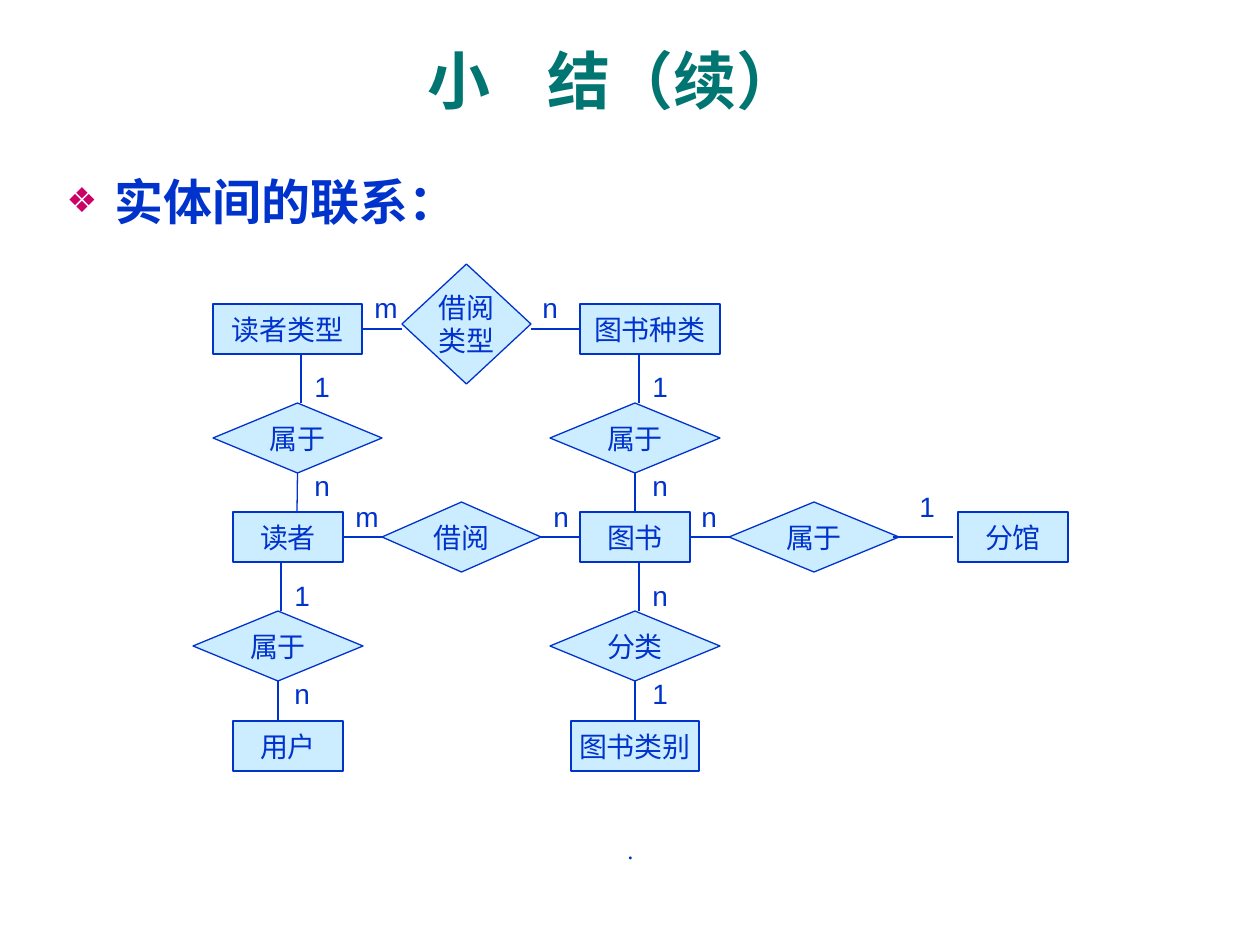
from lxml import etree
from pptx import Presentation, util as u
from pptx.dml.color import RGBColor
from pptx.enum import shapes, text
from pptx.oxml.ns import qn

PX = 914400 / 126
COLORS = {"title": "007572", "text": "0033CC", "fill": "CCECFF", "bullet": "CC0066"}
TOP, LEFT, BOTTOM, RIGHT = range(4)

ENTITIES = {
    "读者类型": (20, 40, 149, 50),
    "图书种类": (387, 40, 140, 50),
    "读者": (40, 248, 110, 50),
    "图书": (387, 248, 110, 50),
    "分馆": (765, 248, 110, 50),
    "用户": (40, 457, 110, 50),
    "图书类别": (378, 457, 128, 50),
}
RELATIONS = {
    "借阅类型": ("借阅\v类型", (209, 0, 129, 120)),
    "读者属于": ("属于", (20, 139, 169, 70)),
    "图书属于": ("属于", (357, 139, 170, 70)),
    "借阅": ("借阅", (189, 238, 159, 70)),
    "分馆属于": ("属于", (536, 238, 170, 70)),
    "用户属于": ("属于", (0, 347, 170, 70)),
    "分类": ("分类", (357, 347, 170, 70)),
}
LINKS = [
    ((209, 65), ("读者类型", RIGHT)),
    ((338, 65), ("图书种类", LEFT)),
    ((108, 90), (108, 139)),
    (("读者属于", BOTTOM), (104, 248)),
    ((446, 90), (446, 139)),
    (("图书属于", BOTTOM), ("图书", TOP)),
    (("借阅", LEFT), ("读者", RIGHT)),
    (("借阅", RIGHT), ("图书", LEFT)),
    (("图书", RIGHT), ("分馆属于", LEFT)),
    ((700, 273), (760, 273)),
    ((88, 298), (88, 347)),
    (("用户属于", BOTTOM), (85, 457)),
    ((446, 298), (446, 347)),
    (("分类", BOTTOM), ("图书类别", TOP)),
]
CARDINALITIES = [
    ("m", 169, 20), ("n", 337, 20),
    ("1", 109, 99), ("n", 109, 198),
    ("1", 447, 99), ("n", 447, 198),
    ("m", 150, 229), ("n", 348, 229),
    ("n", 496, 229), ("1", 714, 219),
    ("1", 89, 308), ("n", 89, 406),
    ("n", 447, 308), ("1", 447, 406),
]


def px(*values):
    return [u.Emu(round(v * PX)) for v in values]


def rgb(name):
    return RGBColor.from_string(COLORS[name])


def apply(target, values):
    for name, value in values.items():
        setattr(target, name, value)


def write(sp, content, size, color="text", font="Arial", bold=False, para=None, frame=None):
    tf = sp.text_frame
    apply(tf, {"word_wrap": True, "auto_size": text.MSO_AUTO_SIZE.NONE, **(frame or {})})
    tf.text = content
    p = tf.paragraphs[0]
    apply(p, para or {})
    for r in p.runs:
        apply(r.font, {"size": u.Pt(size), "name": font, "bold": bold})
        r.font.color.rgb = rgb(color)
    return p


def place(sp, box):
    apply(sp, dict(zip(("left", "top", "width", "height"), px(*box))))


def add_title(s, box):
    sp = s.shapes.title
    place(sp, box)
    write(sp, "小    结（续）", 36, "title", bold=True,
          para={"alignment": text.PP_ALIGN.CENTER},
          frame={"vertical_anchor": text.MSO_ANCHOR.MIDDLE})


def add_body(s, box):
    sp = s.placeholders[1]
    place(sp, box)
    p = write(sp, "实体间的联系：", 28, bold=True, para={"space_before": u.Pt(7)})
    pPr = p._p.get_or_add_pPr()
    indent = px(48)[0]
    pPr.set("marL", str(indent))
    pPr.set("indent", str(-indent))
    color = etree.SubElement(pPr, qn("a:buClr"))
    etree.SubElement(color, qn("a:srgbClr"), val=COLORS["bullet"])
    etree.SubElement(pPr, qn("a:buSzPct"), val="70000")
    etree.SubElement(pPr, qn("a:buChar"), char="❖")


def add_node(s, kind, content, box, inset):
    sp = s.shapes.add_shape(kind, *px(*box))
    sp.shadow.inherit = False
    sp.fill.solid()
    sp.fill.fore_color.rgb = rgb("fill")
    sp.line.color.rgb = rgb("text")
    sp.line.width = u.Pt(0.75)
    frame = {"word_wrap": False, "vertical_anchor": text.MSO_ANCHOR.MIDDLE}
    if not inset:
        frame.update(dict.fromkeys(("margin_left", "margin_top", "margin_right", "margin_bottom"), 0))
    write(sp, content, 16, para={"alignment": text.PP_ALIGN.CENTER}, frame=frame)
    return sp


def add_link(s, x, y, nodes, begin, end):
    def point(target):
        return (0, 0) if target[0] in nodes else px(x + target[0], y + target[1])

    cxn = s.shapes.add_connector(shapes.MSO_CONNECTOR.STRAIGHT, *point(begin), *point(end))
    for target, join in ((begin, cxn.begin_connect), (end, cxn.end_connect)):
        if target[0] in nodes:
            join(nodes[target[0]], target[1])
    cxn.line.color.rgb = rgb("text")
    cxn.line.width = u.Pt(0.75)
    etree.SubElement(cxn._element.spPr, qn("a:effectLst"))


def add_diagram(s, box):
    x, y = box[:2]
    nodes = {}
    for name, (dx, dy, w, h) in ENTITIES.items():
        nodes[name] = add_node(s, shapes.MSO_SHAPE.RECTANGLE, name, (x + dx, y + dy, w, h), True)
    for name, (content, (dx, dy, w, h)) in RELATIONS.items():
        nodes[name] = add_node(s, shapes.MSO_SHAPE.FLOWCHART_DECISION, content,
                               (x + dx, y + dy, w, h), False)
    for begin, end in LINKS:
        add_link(s, x, y, nodes, begin, end)
    for content, dx, dy in CARDINALITIES:
        sp = s.shapes.add_textbox(*px(x + dx, y + dy, 39, 46))
        write(sp, content, 16, para={"space_before": u.Pt(10)},
              frame={"auto_size": text.MSO_AUTO_SIZE.SHAPE_TO_FIT_TEXT})


def add_footer(s, box):
    sp = s.shapes.add_textbox(*px(*box))
    write(sp, ".", 14, font="Times New Roman", para={"alignment": text.PP_ALIGN.CENTER})


def main():
    prs = Presentation()
    prs.slide_width, prs.slide_height = px(1260, 945)
    s = prs.slides.add_slide(prs.slide_layouts[1])
    add_title(s, (25, 0, 1177, 158))
    add_body(s, (54, 165, 1121, 74))
    add_diagram(s, (193, 264, 875, 507))
    add_footer(s, (431, 829, 399, 66))
    prs.save("out.pptx")


if __name__ == "__main__":
    main()
